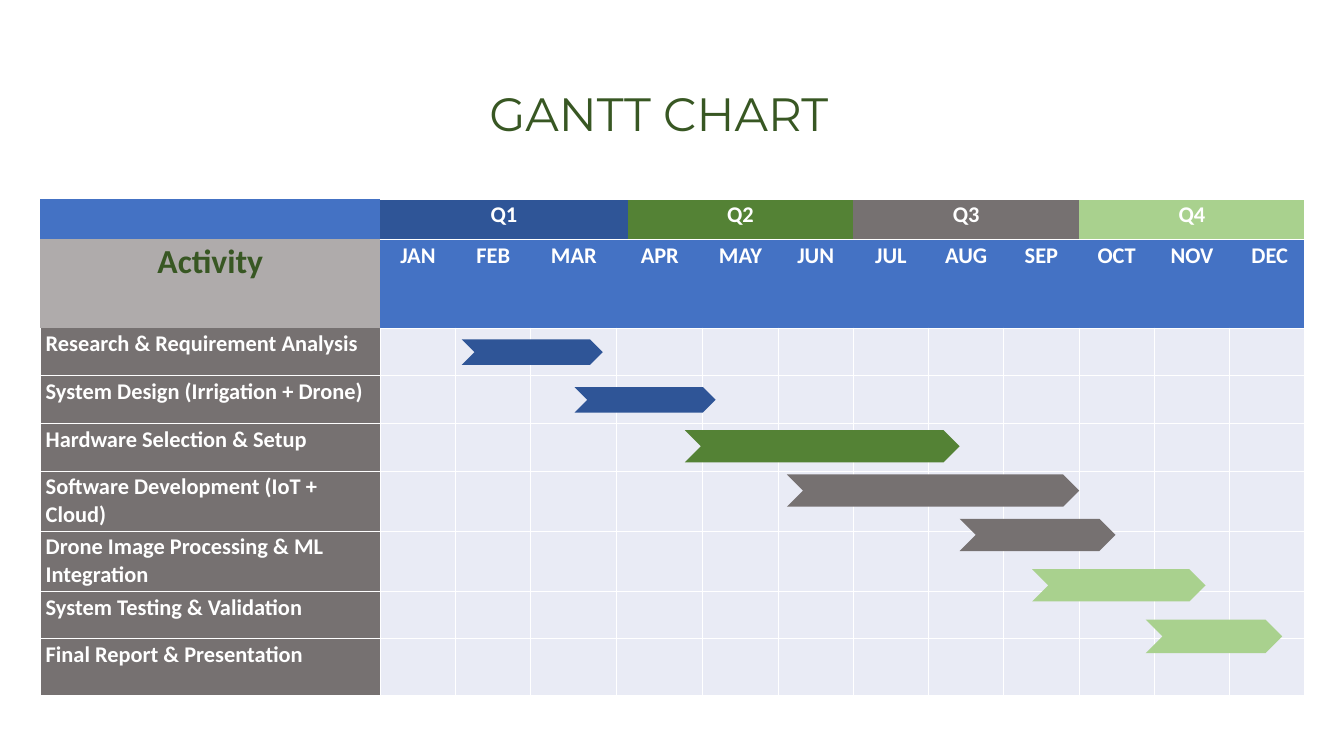
from lxml.etree import SubElement
from pptx import Presentation
from pptx.dml.color import RGBColor
from pptx.enum.shapes import MSO_SHAPE
from pptx.enum.text import MSO_ANCHOR, PP_ALIGN
from pptx.oxml.ns import qn
from pptx.util import Inches, Pt

WHITE = RGBColor(0xFF, 0xFF, 0xFF)
BLUE = RGBColor(0x44, 0x72, 0xC4)
NAVY = RGBColor(0x2F, 0x55, 0x97)
GREEN = RGBColor(0x54, 0x82, 0x35)
DARK_GREEN = RGBColor(0x38, 0x57, 0x23)
LIGHT_GREEN = RGBColor(0xA9, 0xD1, 0x8E)
GRAY = RGBColor(0x76, 0x71, 0x71)
LIGHT_GRAY = RGBColor(0xAF, 0xAB, 0xAB)
PALE = RGBColor(0xE9, 0xEB, 0xF5)

NO_GRID_STYLE = "{2D5ABB26-0587-4C30-8999-92F81FD0307C}"
COLUMN_WIDTHS = [5.06, 1.12, 1.12, 1.28, 0.16] + [1.12] * 9
ROW_HEIGHTS = [0.6, 1.32] + [0.71] * 3 + [0.88] * 2 + [0.71, 0.84]
QUARTERS = [("Q1", 1, 4, NAVY), ("Q2", 5, 7, GREEN),
            ("Q3", 8, 10, GRAY), ("Q4", 11, 13, LIGHT_GREEN)]
MONTHS = ["JAN", "FEB", "MAR", "APR", "MAY", "JUN",
          "JUL", "AUG", "SEP", "OCT", "NOV", " DEC"]
MONTH_COLUMNS = [1, 2, 3, 4] + list(range(6, 14))
ACTIVITIES = [
    "Research & Requirement Analysis",
    "System Design (Irrigation + Drone)",
    "Hardware Selection & Setup",
    "Software Development (IoT + Cloud)",
    "Drone Image Processing & ML Integration",
    "System Testing & Validation",
    "Final Report & Presentation",
]
BARS = [
    (6.27, 2.09, 2.1, 0.38, NAVY),
    (7.95, 2.8, 2.1, 0.38, NAVY),
    (9.59, 3.44, 4.09, 0.48, GREEN),
    (11.11, 4.1, 4.35, 0.48, GRAY),
    (13.68, 4.76, 2.32, 0.48, GRAY),
    (14.76, 5.51, 2.58, 0.48, LIGHT_GREEN),
    (16.45, 6.26, 2.03, 0.5, LIGHT_GREEN),
]


def set_borders(cell, sides):
    properties = cell._tc.get_or_add_tcPr()
    for side in "LRTB":
        line = SubElement(properties, qn(f"a:ln{side}"), w=str(Pt(1)))
        if side in sides:
            fill = SubElement(line, qn("a:solidFill"))
            SubElement(fill, qn("a:srgbClr"), val=str(WHITE))
        else:
            SubElement(line, qn("a:noFill"))


def style_cell(cell, color, sides):
    set_borders(cell, sides)
    cell.fill.solid()
    cell.fill.fore_color.rgb = color
    cell.margin_left = cell.margin_right = Inches(0.08)
    cell.margin_top = cell.margin_bottom = Inches(0.04)


def write_cell(cell, text, size=24, color=WHITE, align=PP_ALIGN.CENTER):
    cell.text = text
    paragraph = cell.text_frame.paragraphs[0]
    paragraph.alignment = align
    paragraph.font.name = "Calibri"
    paragraph.font.size = Pt(size)
    paragraph.font.bold = True
    paragraph.font.color.rgb = color


def place_title(slide, left, top, width, height):
    title = slide.shapes.title
    title.left, title.top = Inches(left), Inches(top)
    title.width, title.height = Inches(width), Inches(height)
    title.text = "GANTT CHART"
    title.text_frame.vertical_anchor = MSO_ANCHOR.MIDDLE
    heading = title.text_frame.paragraphs[0]
    heading.alignment = PP_ALIGN.CENTER
    heading.line_spacing = 1
    heading.font.name = "Montserrat"
    heading.font.size = Pt(50)
    heading.font.color.rgb = DARK_GREEN


def place_schedule(slide, left, top, width, height):
    schedule = slide.shapes.add_table(
        len(ROW_HEIGHTS), len(COLUMN_WIDTHS),
        Inches(left), Inches(top), Inches(width), Inches(height)).table
    schedule.first_row = schedule.horz_banding = False
    schedule._tbl.tblPr.find(qn("a:tableStyleId")).text = NO_GRID_STYLE
    for column, column_width in zip(schedule.columns, COLUMN_WIDTHS):
        column.width = Inches(column_width)
    for row, row_height in zip(schedule.rows, ROW_HEIGHTS):
        row.height = Inches(row_height)

    style_cell(schedule.cell(0, 0), BLUE, "")
    style_cell(schedule.cell(1, 0), LIGHT_GRAY, "")
    write_cell(schedule.cell(1, 0), "Activity", 36, DARK_GREEN)

    for quarter, first, last, color in QUARTERS:
        for column in range(first, last + 1):
            style_cell(schedule.cell(0, column), color, "TRB")
        schedule.cell(0, first).merge(schedule.cell(0, last))
        write_cell(schedule.cell(0, first), quarter)

    for row in range(1, len(ROW_HEIGHTS)):
        for column in range(1, len(COLUMN_WIDTHS)):
            if row == 1:
                style_cell(schedule.cell(row, column), BLUE, "TRB")
            else:
                style_cell(schedule.cell(row, column), PALE, "LRTB")
        schedule.cell(row, 4).merge(schedule.cell(row, 5))

    for column, month in zip(MONTH_COLUMNS, MONTHS):
        write_cell(schedule.cell(1, column), month)
    for row, activity in enumerate(ACTIVITIES, start=2):
        style_cell(schedule.cell(row, 0), GRAY, "LRB" if row == 2 else "LRTB")
        write_cell(schedule.cell(row, 0), activity, align=PP_ALIGN.LEFT)


def place_bars(slide, left, top):
    timeline = slide.shapes.add_group_shape()
    for x, y, width, height, color in BARS:
        bar = timeline.shapes.add_shape(
            MSO_SHAPE.CHEVRON, Inches(left + x), Inches(top + y),
            Inches(width), Inches(height))
        bar.shadow.inherit = False
        bar.fill.solid()
        bar.fill.fore_color.rgb = color
        bar.line.fill.background()


def main():
    presentation = Presentation()
    presentation.slide_width = Inches(20)
    presentation.slide_height = Inches(11.25)
    slide = presentation.slides.add_slide(presentation.slide_layouts[5])
    place_schedule(slide, 0.6, 2.96, 18.79, 7.35)
    place_bars(slide, 0.6, 2.96)
    place_title(slide, 6.88, 1.21, 5.85, 0.94)
    presentation.save("out.pptx")


if __name__ == "__main__":
    main()
